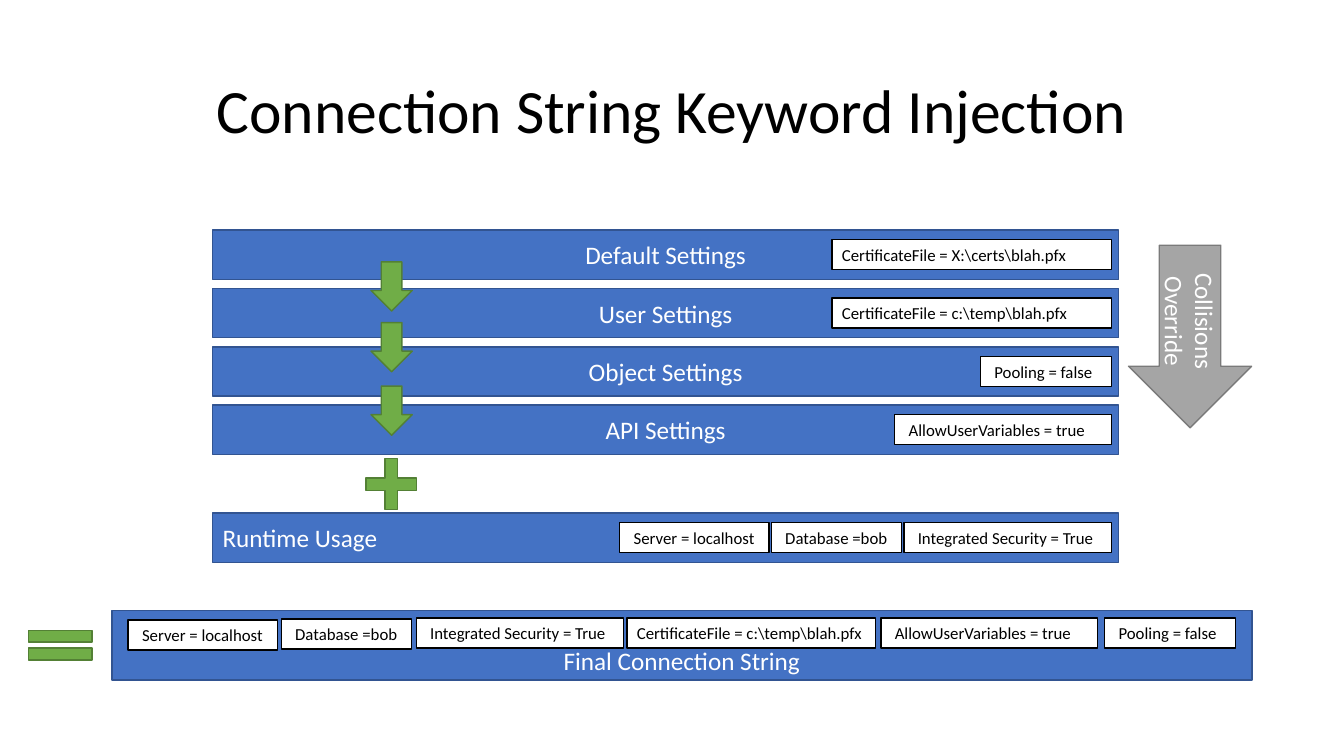
from pptx import Presentation
from pptx.dml.color import RGBColor
from pptx.enum.shapes import MSO_SHAPE
from pptx.enum.text import MSO_ANCHOR, MSO_AUTO_SIZE, PP_ALIGN
from pptx.util import Cm, Pt

RECT, DOWN, RIGHT = MSO_SHAPE.RECTANGLE, MSO_SHAPE.DOWN_ARROW, MSO_SHAPE.RIGHT_ARROW
PLUS, EQUAL = MSO_SHAPE.CROSS, MSO_SHAPE.MATH_EQUAL
TOP, MIDDLE, BOTTOM = MSO_ANCHOR.TOP, MSO_ANCHOR.MIDDLE, MSO_ANCHOR.BOTTOM
LEFT, CENTER = PP_ALIGN.LEFT, PP_ALIGN.CENTER
GROW = MSO_AUTO_SIZE.SHAPE_TO_FIT_TEXT

THEME = {
    "font": "Calibri",
    "title": 44, "bar": 18, "tag": 12,
    "black": "000000", "white": "FFFFFF",
    "blue": ("4472C4", "325491"),
    "green": ("70AD47", "538035"),
    "gray": ("A5A5A5", "7A7A7A"),
    "plain": ("FFFFFF", "000000"),
}

TITLE = "Connection String Keyword Injection"
FINAL = "Final Connection String"
NOTE = "Collisions Override"

NEAR, FAR = 0.25, 0.35
SERVER = ("Server = localhost", 3.76, FAR)
BASE = ("Database =bob", 3.28, FAR)
TRUST = ("Integrated Security = True", 5.23, FAR)
DRIVE = ("CertificateFile = X:\\certs\\blah.pfx", 7.04, NEAR)
TEMP = ("CertificateFile = c:\\temp\\blah.pfx", 7.04, NEAR)
SHORT = ("CertificateFile = c:\\temp\\blah.pfx", 6.27, NEAR)
ALLOW = ("AllowUserVariables = true", 5.46, FAR)
POOL = ("Pooling = false", 3.3, FAR)

LAYERS = [
    ("Default Settings", [DRIVE]),
    ("User Settings", [TEMP]),
    ("Object Settings", [POOL]),
    ("API Settings", [ALLOW]),
]
RUNTIME = ("Runtime Usage", [SERVER, BASE, TRUST])
MERGED = [
    (3.23, 15.62, SERVER), (7.09, 15.6, BASE), (10.49, 15.57, TRUST),
    (15.8, 15.57, SHORT), (22.2, 15.57, ALLOW), (27.84, 15.57, POOL),
]

BAR_X, BAR_Y, BAR_W, BAR_H, PITCH = 5.36, 5.8, 22.83, 1.24, 1.47
RUN_Y = 12.93
TAG_END, TAG_H, TAG_GAP = 28.01, 0.76, 0.06
ARROWS = [6.6, 8.13, 9.73]

deck = Presentation()
deck.slide_width, deck.slide_height = Cm(33.87), Cm(19.05)
slide = deck.slides.add_slide(deck.slide_layouts[5])


def style(para, size, color, align):
    para.alignment = align
    para.font.name = THEME["font"]
    para.font.size = Pt(size)
    para.font.color.rgb = RGBColor.from_string(color)


def draw(kind, box, look):
    shape = slide.shapes.add_shape(kind, *map(Cm, box))
    fill, line = THEME[look]
    shape.shadow.inherit = False
    shape.fill.solid()
    shape.fill.fore_color.rgb = RGBColor.from_string(fill)
    shape.line.color.rgb = RGBColor.from_string(line)
    shape.line.width = Pt(1)
    return shape


def write(shape, text, size, color, align=CENTER, anchor=MIDDLE):
    frame = shape.text_frame
    frame.word_wrap = True
    frame.vertical_anchor = anchor
    frame.text = text
    style(frame.paragraphs[0], size, color, align)
    return frame


def add_bar(text, box, align=CENTER, anchor=MIDDLE):
    write(draw(RECT, box, "blue"), text, THEME["bar"], THEME["white"], align, anchor)


def add_tag(left, top, tag):
    text, width, inset = tag
    shape = draw(RECT, (left, top, width, TAG_H), "plain")
    frame = write(shape, text, THEME["tag"], THEME["black"], LEFT, TOP)
    frame.margin_left = Cm(inset)
    frame.auto_size = GROW


def add_tags(top, tags):
    end = TAG_END
    for tag in reversed(tags):
        left = end - tag[1]
        add_tag(left, top + (BAR_H - TAG_H) / 2, tag)
        end = left - TAG_GAP


title = slide.shapes.title
title.left, title.top, title.width, title.height = map(Cm, (2.33, 1.01, 29.21, 3.68))
head = write(title, TITLE, THEME["title"], THEME["black"])
head.paragraphs[0].line_spacing = 0.9

for row, (name, tags) in enumerate(LAYERS):
    top = BAR_Y + row * PITCH
    add_bar(name, (BAR_X, top, BAR_W, BAR_H))
    add_tags(top, tags)

for top in ARROWS:
    draw(DOWN, (9.35, top, 1.04, 1.24), "green")

plus = draw(PLUS, (9.22, 11.56, 1.28, 1.28), "green")
plus.adjustments[0] = 0.377

add_bar(RUNTIME[0], (BAR_X, RUN_Y, BAR_W, BAR_H), LEFT)
add_tags(RUN_Y, RUNTIME[1])

add_bar(FINAL, (2.82, 15.39, 28.73, 1.75), CENTER, BOTTOM)
for left, top, tag in MERGED:
    add_tag(left, top, tag)

order = draw(RIGHT, (27.69, 6.93, 4.6, 3.1), "gray")
order.rotation = 90
write(order, NOTE, THEME["bar"], THEME["white"])

draw(EQUAL, (0.43, 15.62, 2.18, 1.27), "green")

deck.save("out.pptx")
